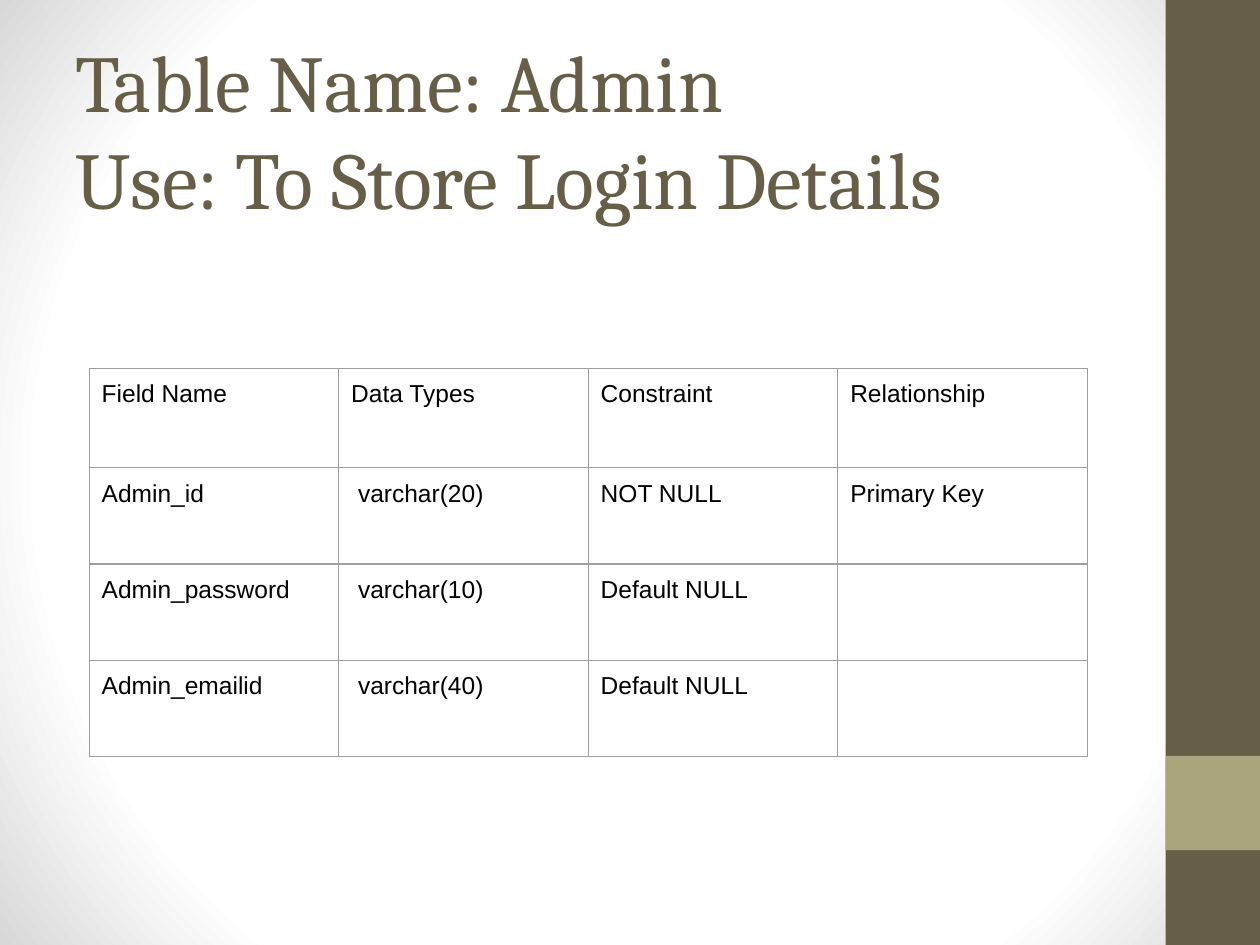
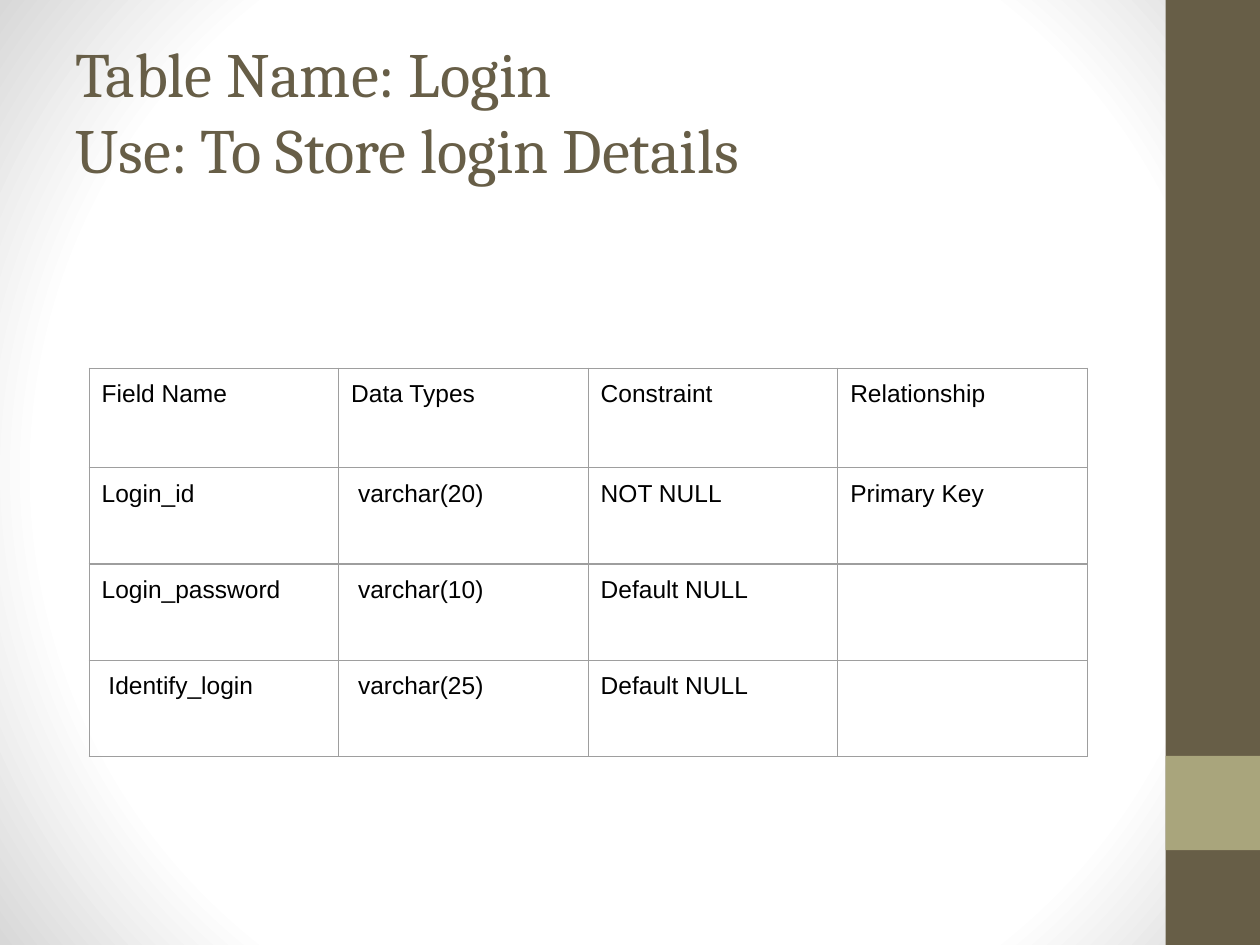
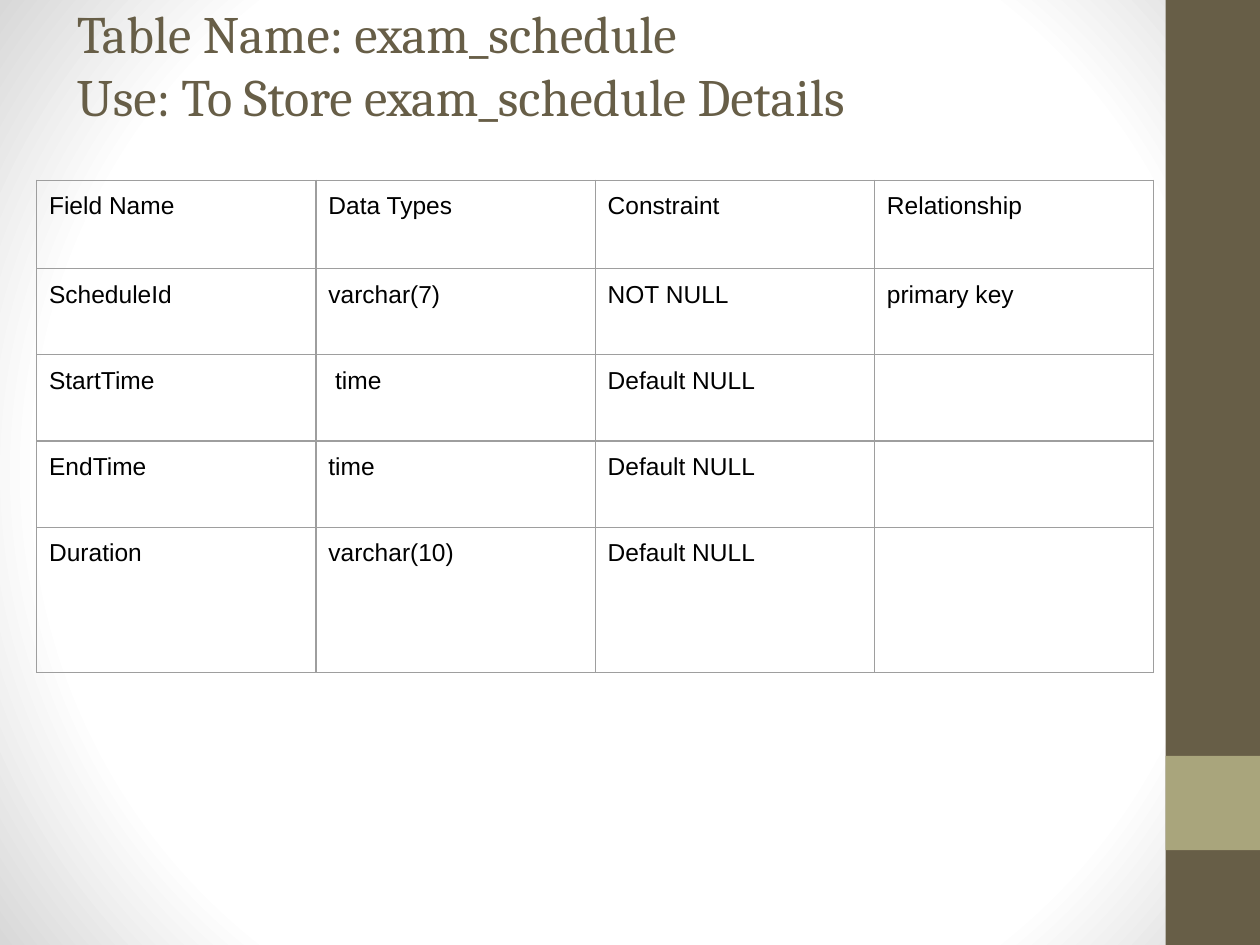
from pptx import Presentation
from pptx import util as u
from pptx.dml import color
from pptx.enum import shapes, text
from pptx.oxml import parse_xml
from pptx.oxml import ns

COLORS = {
    "olive": "675E47",
    "sage": "A9A57C",
    "grid": "9E9E9E",
    "text": "000000",
    "center": "FFFFFF",
    "edge": "D8D8D8",
}
HEADER = ["Field Name", "Data Types", "Constraint", "Relationship"]
SLIDE_WIDTH, SLIDE_HEIGHT = 25.4, 19.05
BAND_LEFT, BAND_WIDTH = 23.5, 1.9
INSET = 0.25


class Deck:
    title_font = "Cambria"
    body_font = "Arial"
    body_size = 14

    def __init__(self):
        self.presentation = Presentation()
        self.presentation.slide_width = u.Cm(SLIDE_WIDTH)
        self.presentation.slide_height = u.Cm(SLIDE_HEIGHT)
        self.slide = None
        self.set_background()

    def set_background(self):
        master = self.presentation.slide_master
        master.background.fill.solid()
        solid = master.element.xpath("p:cSld/p:bg/p:bgPr/a:solidFill")[0]
        stops = "".join(
            f'<a:gs pos="{position * 1000}"><a:srgbClr val="{COLORS[name]}"/></a:gs>'
            for position, name in [(0, "center"), (75, "center"), (100, "edge")]
        )
        gradient = parse_xml(
            f'<a:gradFill {ns.nsdecls("a")} rotWithShape="1"><a:gsLst>{stops}</a:gsLst>'
            '<a:path path="circle"><a:fillToRect l="50000" t="50000" r="50000" b="50000"/>'
            "</a:path></a:gradFill>"
        )
        solid.getparent().replace(solid, gradient)

    def add_slide(self):
        self.slide = self.presentation.slides.add_slide(self.presentation.slide_layouts[6])
        self.add_band(0, SLIDE_HEIGHT, "olive")
        self.add_band(15.24, BAND_WIDTH, "sage")

    def add_band(self, top, height, fill):
        shape = self.slide.shapes.add_shape(
            shapes.MSO_SHAPE.RECTANGLE,
            u.Cm(BAND_LEFT), u.Cm(top), u.Cm(BAND_WIDTH), u.Cm(height),
        )
        shape.shadow.inherit = False
        shape.fill.solid()
        shape.fill.fore_color.rgb = color.RGBColor.from_string(COLORS[fill])
        shape.line.fill.background()

    def format_paragraph(self, paragraph, font_name, size, color_name):
        for run in paragraph.runs:
            run.font.name = font_name
            run.font.size = u.Pt(size)
            run.font.color.rgb = color.RGBColor.from_string(COLORS[color_name])

    def add_title(self, name, use, size, left, top, height, bottom_inset=INSET):
        shape = self.slide.shapes.add_textbox(
            u.Cm(left), u.Cm(top), u.Cm(21.16), u.Cm(height)
        )
        frame = shape.text_frame
        frame.word_wrap = True
        frame.vertical_anchor = text.MSO_ANCHOR.MIDDLE
        frame.margin_left = frame.margin_right = frame.margin_top = u.Cm(INSET)
        frame.margin_bottom = u.Cm(bottom_inset)
        frame.text = f"Table Name: {name}\nUse: To Store {use} Details"
        for paragraph in frame.paragraphs:
            self.format_paragraph(paragraph, self.title_font, size, "olive")

    def add_borders(self, cell):
        properties = cell._tc.get_or_add_tcPr()
        for index, side in enumerate("LRTB"):
            properties.insert(index, parse_xml(
                f'<a:ln{side} {ns.nsdecls("a")} w="{u.Pt(0.75)}"><a:solidFill>'
                f'<a:srgbClr val="{COLORS["grid"]}"/></a:solidFill></a:ln{side}>'
            ))

    def add_table(self, fields, left, top, column_width, row_heights):
        rows = [HEADER] + fields
        table = self.slide.shapes.add_table(
            len(rows), len(HEADER), u.Cm(left), u.Cm(top),
            u.Cm(column_width * len(HEADER)), u.Cm(sum(row_heights)),
        ).table
        table.first_row = False
        table.horz_banding = False
        for column in table.columns:
            column.width = u.Cm(column_width)
        for row, height, values in zip(table.rows, row_heights, rows):
            row.height = u.Cm(height)
            for cell, value in zip(row.cells, values):
                self.fill_cell(cell, value)

    def fill_cell(self, cell, value):
        cell.margin_left = cell.margin_right = u.Cm(INSET)
        cell.margin_top = cell.margin_bottom = u.Cm(INSET)
        cell.fill.background()
        self.add_borders(cell)
        cell.text_frame.text = value
        self.format_paragraph(
            cell.text_frame.paragraphs[0], self.body_font, self.body_size, "text"
        )


def main():
    deck = Deck()
    account_grid = dict(
        left=1.8, top=7.42, column_width=5.03, row_heights=[2.01] + [1.94] * 3
    )

    deck.add_slide()
    deck.add_title("Admin", "Login", 46, left=1.27, top=0.76, height=3.68)
    deck.add_table([
        ["Admin_id", " varchar(20)", "NOT NULL", "Primary Key"],
        ["Admin_password", " varchar(10)", "Default NULL", ""],
        ["Admin_emailid", " varchar(40)", "Default NULL", ""],
    ], **account_grid)

    deck.add_slide()
    deck.add_title("Login", "login", 36, left=1.27, top=0, height=4.45)
    deck.add_table([
        ["Login_id", " varchar(20)", "NOT NULL", "Primary Key"],
        ["Login_password", " varchar(10)", "Default NULL", ""],
        [" Identify_login", " varchar(25)", "Default NULL", ""],
    ], **account_grid)

    deck.add_slide()
    deck.add_title("exam_schedule", "exam_schedule", 30,
                   left=1.3, top=0.48, height=3.15, bottom_inset=1.78)
    deck.add_table([
        ["ScheduleId", "varchar(7)", "NOT NULL", "primary key"],
        ["StartTime", " time", "Default NULL", ""],
        ["EndTime", "time", "Default NULL", ""],
        ["Duration", "varchar(10)", "Default NULL", ""],
    ], left=0.74, top=3.63, column_width=5.63, row_heights=[1.78] + [1.74] * 3 + [2.92])

    deck.presentation.save("out.pptx")


if __name__ == "__main__":
    main()
